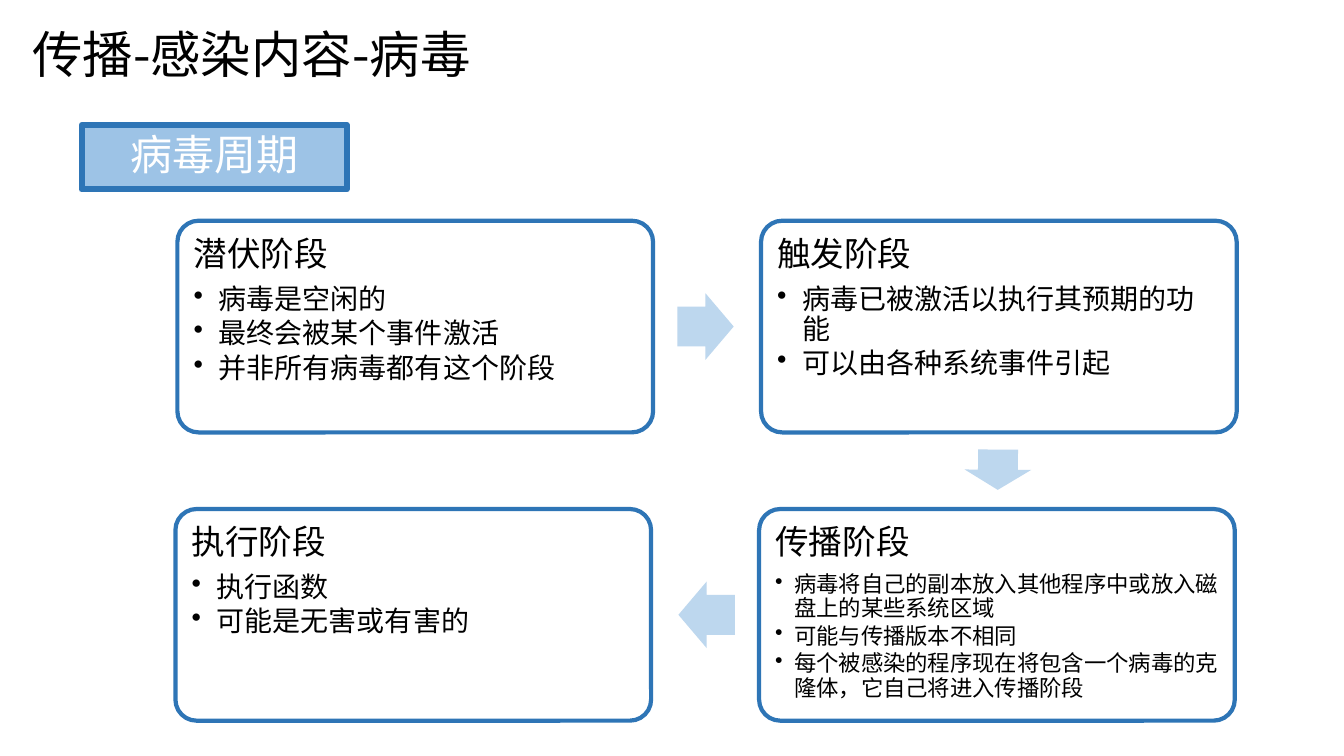
from dataclasses import dataclass

from lxml.etree import SubElement
from pptx import Presentation
from pptx.dml.color import RGBColor
from pptx.enum.shapes import MSO_SHAPE as Preset
from pptx.enum.text import MSO_ANCHOR as Anchor, PP_ALIGN as Align
from pptx.oxml.ns import qn
from pptx.shapes.autoshape import Shape
from pptx.slide import Slide
from pptx.text.text import TextFrame
from pptx.util import Pt

FONT = "Noto Sans CJK SC"
BLACK = RGBColor(0x00, 0x00, 0x00)
WHITE = RGBColor(0xFF, 0xFF, 0xFF)
BORDER_BLUE = RGBColor(0x2E, 0x75, 0xB6)
LABEL_BLUE = RGBColor(0x9D, 0xC3, 0xE6)
ARROW_BLUE = RGBColor(0xBD, 0xD7, 0xEE)
CARD_WIDTH, CARD_HEIGHT = 339.8, 151.2


@dataclass(frozen=True)
class Stage:
    left: float
    top: float
    heading: str
    points: tuple[str, ...]
    size: float = 20
    indent: float = 18


@dataclass(frozen=True)
class Arrow:
    left: float
    top: float
    width: float
    rotation: float = 0
    height: float = 47.5


STAGES = (
    Stage(126.7, 157.7, "潜伏阶段",
          ("病毒是空闲的", "最终会被某个事件激活", "并非所有病毒都有这个阶段")),
    Stage(543.6, 157.7, "触发阶段",
          ("病毒已被激活以执行其预期的功能", "可以由各种系统事件引起")),
    Stage(542.2, 363.6, "传播阶段",
          ("病毒将自己的副本放入其他程序中或放入磁盘上的某些系统区域",
           "可能与传播版本不相同",
           "每个被感染的程序现在将包含一个病毒的克隆体，它自己将进入传播阶段"),
          size=16, indent=13.5),
    Stage(125.3, 363.6, "执行阶段", ("执行函数", "可能是无害或有害的")),
)
ARROWS = (
    Arrow(483.8, 209.5, 40.3),
    Arrow(698.4, 311.8, 28.8, rotation=90.4),
    Arrow(484.6, 415.4, 40.3, rotation=180),
)


def setup_frame(frame: TextFrame, anchor: Anchor, side: float, edge: float) -> None:
    frame.word_wrap = True
    frame.vertical_anchor = anchor
    frame.margin_left = frame.margin_right = Pt(side)
    frame.margin_top = frame.margin_bottom = Pt(edge)


def write(frame: TextFrame, text: str, *, size: float, color: RGBColor = BLACK,
          align: Align = Align.LEFT, spacing: float = 0.9, after: float = 0,
          indent: float = 0, first: bool = True) -> None:
    paragraph = frame.paragraphs[0] if first else frame.add_paragraph()
    paragraph.alignment = align
    paragraph.line_spacing = spacing
    paragraph.space_after = Pt(after)
    if indent:
        properties = paragraph._p.get_or_add_pPr()
        properties.set("marL", str(Pt(indent)))
        properties.set("indent", str(-Pt(indent)))
        SubElement(properties, qn("a:buChar"), char="•")
    run = paragraph.add_run()
    run.text = text
    run.font.size = Pt(size)
    run.font.name = FONT
    run.font.color.rgb = color
    SubElement(run._r.get_or_add_rPr(), qn("a:ea"), typeface=FONT)


def add_block(slide: Slide, preset: Preset, left: float, top: float, width: float,
              height: float, fill: RGBColor, line_width: float = 0) -> Shape:
    shape = slide.shapes.add_shape(preset, Pt(left), Pt(top), Pt(width), Pt(height))
    shape.shadow.inherit = False
    shape.fill.solid()
    shape.fill.fore_color.rgb = fill
    if line_width:
        shape.line.color.rgb = BORDER_BLUE
        shape.line.width = Pt(line_width)
    else:
        shape.line.fill.background()
    return shape


def add_title(slide: Slide) -> None:
    box = slide.shapes.add_textbox(Pt(15.1), Pt(0), Pt(425.5), Pt(76.3))
    setup_frame(box.text_frame, Anchor.MIDDLE, side=7.9, edge=4.3)
    write(box.text_frame, "传播-感染内容-病毒", size=36, spacing=1)


def add_label(slide: Slide) -> None:
    label = add_block(slide, Preset.RECTANGLE, 58.3, 89.3, 189.4, 46.1,
                      LABEL_BLUE, line_width=4.33)
    setup_frame(label.text_frame, Anchor.MIDDLE, side=33.8, edge=0)
    write(label.text_frame, "病毒周期", size=30, color=WHITE, align=Align.CENTER)


def add_stage(slide: Slide, stage: Stage) -> None:
    card = add_block(slide, Preset.ROUNDED_RECTANGLE, stage.left, stage.top,
                     CARD_WIDTH, CARD_HEIGHT, WHITE, line_width=3)
    card.adjustments[0] = 0.1
    frame = card.text_frame
    setup_frame(frame, Anchor.TOP, side=7.2, edge=7.2)
    write(frame, stage.heading, size=24, after=8.4)
    for point in stage.points:
        write(frame, point, size=stage.size, after=stage.size * 0.15,
              indent=stage.indent, first=False)


def add_arrow(slide: Slide, arrow: Arrow) -> None:
    shape = add_block(slide, Preset.RIGHT_ARROW, arrow.left, arrow.top,
                      arrow.width, arrow.height, ARROW_BLUE)
    shape.adjustments[0] = 0.6
    shape.adjustments[1] = 0.5
    shape.rotation = arrow.rotation


def main() -> None:
    presentation = Presentation()
    presentation.slide_width = Pt(960)
    presentation.slide_height = Pt(540)
    slide = presentation.slides.add_slide(presentation.slide_layouts[6])
    add_title(slide)
    add_label(slide)
    for stage in STAGES:
        add_stage(slide, stage)
    for arrow in ARROWS:
        add_arrow(slide, arrow)
    presentation.save("out.pptx")


if __name__ == "__main__":
    main()
